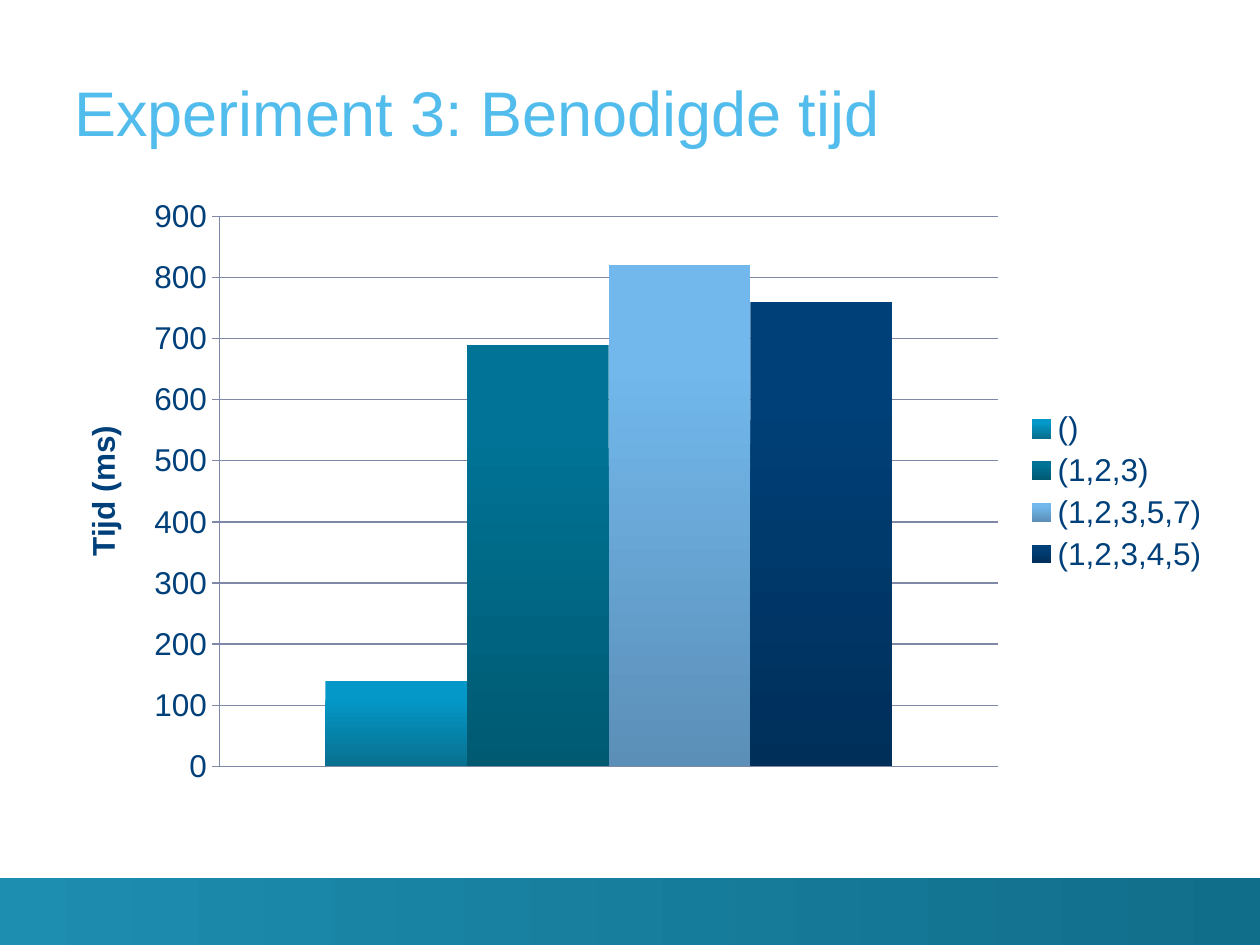
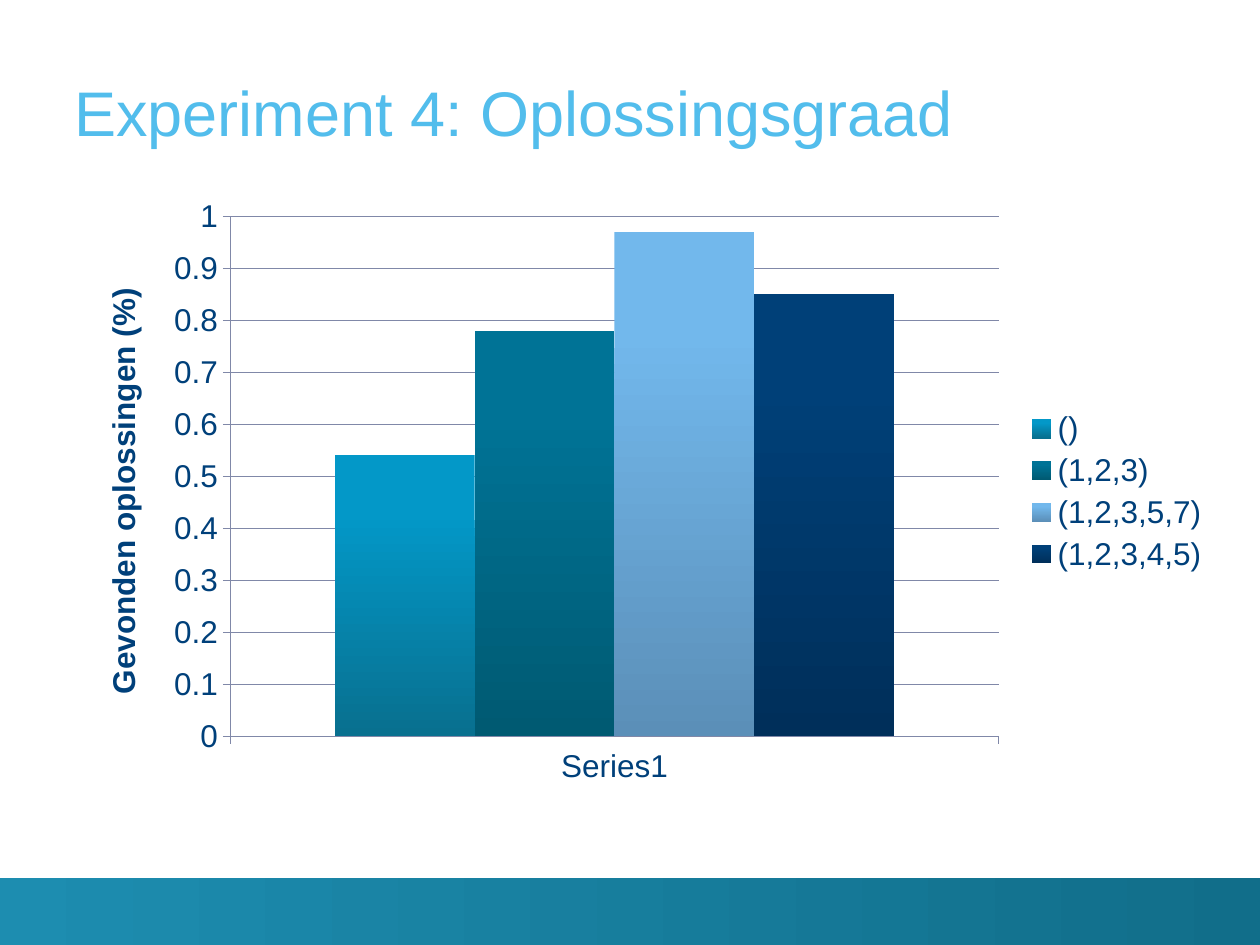
"""Builds two slides that compare four series in column charts."""
from dataclasses import dataclass

from pptx import Presentation
from pptx.chart.data import CategoryChartData
from pptx.dml.color import RGBColor
from pptx.enum.chart import XL_CHART_TYPE, XL_LEGEND_POSITION, XL_TICK_MARK
from pptx.enum.shapes import MSO_SHAPE
from pptx.enum.text import MSO_ANCHOR, MSO_AUTO_SIZE, PP_ALIGN
from pptx.util import Inches, Pt


@dataclass(frozen=True)
class Theme:
    font: str = "Arial"
    title: str = "52BDEC"
    text: str = "00407A"
    grid: str = "8088A8"
    band: tuple = ("1D8DB0", "116E8A")
    bars: tuple = (("0398C8", "08708F"), ("007396", "005A72"),
                   ("72B8EC", "5B8FB8"), ("004078", "002F5A"))
    title_size: int = 36
    chart_size: int = 18


SERIES = ("()", "(1,2,3)", "(1,2,3,5,7)", "(1,2,3,4,5)")


class Deck:
    def __init__(self, theme):
        self.theme = theme
        self.prs = Presentation()
        self.prs.slide_width, self.prs.slide_height = Inches(10), Inches(7.5)
        self.s = None

    def style(self, font, size, color, bold=False):
        font.name, font.size, font.bold = self.theme.font, Pt(size), bold
        font.color.rgb = RGBColor.from_string(color)

    def gradient(self, fill, colors, angle, start=0.0):
        fill.gradient()
        fill.gradient_angle = angle
        for stop, color, position in zip(fill.gradient_stops, colors, (start, 1.0)):
            stop.color.rgb = RGBColor.from_string(color)
            stop.position = position

    def line(self, line):
        line.color.rgb = RGBColor.from_string(self.theme.grid)
        line.width = Pt(0.75)

    def slide(self, title):
        self.s = self.prs.slides.add_slide(self.prs.slide_layouts[5])
        self.band()
        self.title(title)

    def band(self):
        sp = self.s.shapes.add_shape(MSO_SHAPE.RECTANGLE, 0, Inches(6.97),
                                     Inches(10), Inches(0.53))
        sp.shadow.inherit = False
        sp.line.fill.background()
        self.gradient(sp.fill, self.theme.band, 0)

    def title(self, text):
        sp = self.s.shapes.title
        sp.left, sp.top = Inches(0.59), Inches(0.2)
        sp.width, sp.height = Inches(9.11), Inches(0.98)
        tf = sp.text_frame
        tf.text = text
        tf.auto_size, tf.word_wrap = MSO_AUTO_SIZE.NONE, True
        tf.vertical_anchor = MSO_ANCHOR.BOTTOM
        tf.margin_left = tf.margin_right = tf.margin_top = tf.margin_bottom = 0
        p = tf.paragraphs[0]
        p.alignment = PP_ALIGN.LEFT
        self.style(p.runs[0].font, self.theme.title_size, self.theme.title)

    def chart(self, left, category, values, axis_title, top_value, step, show_category):
        data = CategoryChartData()
        data.categories = [category]
        for name, value in zip(SERIES, values):
            data.add_series(name, [value])
        chart = self.s.shapes.add_chart(
            XL_CHART_TYPE.COLUMN_CLUSTERED, Inches(left), Inches(1.48),
            Inches(9.7 - left), Inches(4.84), data).chart
        self.style(chart.font, self.theme.chart_size, self.theme.text)
        chart.has_title = False
        chart.has_legend = True
        chart.legend.position = XL_LEGEND_POSITION.RIGHT
        chart.legend.include_in_layout = False
        plot = chart.plots[0]
        plot.gap_width, plot.overlap, plot.vary_by_categories = 150, 0, False
        for series, colors in zip(plot.series, self.theme.bars):
            self.gradient(series.format.fill, colors, 270, 0.2)
        self.axes(chart, axis_title, top_value, step, show_category)

    def axes(self, chart, axis_title, top_value, step, show_category):
        chart.category_axis.visible = show_category
        axis = chart.value_axis
        axis.minimum_scale, axis.maximum_scale, axis.major_unit = 0, top_value, step
        axis.has_major_gridlines = True
        self.line(axis.major_gridlines.format.line)
        for each in (axis, chart.category_axis):
            each.major_tick_mark = XL_TICK_MARK.OUTSIDE
            self.line(each.format.line)
        tf = axis.axis_title.text_frame
        tf.text = axis_title
        self.style(tf.paragraphs[0].runs[0].font, self.theme.chart_size,
                   self.theme.text, bold=True)


def main():
    deck = Deck(Theme())
    deck.slide("Experiment 3: Benodigde tijd")
    deck.chart(0.43, "1", (140, 690, 820, 760), "Tijd (ms)", 900, 100, False)
    deck.slide("Experiment 4: Oplossingsgraad")
    deck.chart(0.59, "Series1", (0.54, 0.78, 0.97, 0.85),
               "Gevonden oplossingen (%)", 1, 0.1, True)
    deck.prs.save("out.pptx")


if __name__ == "__main__":
    main()
